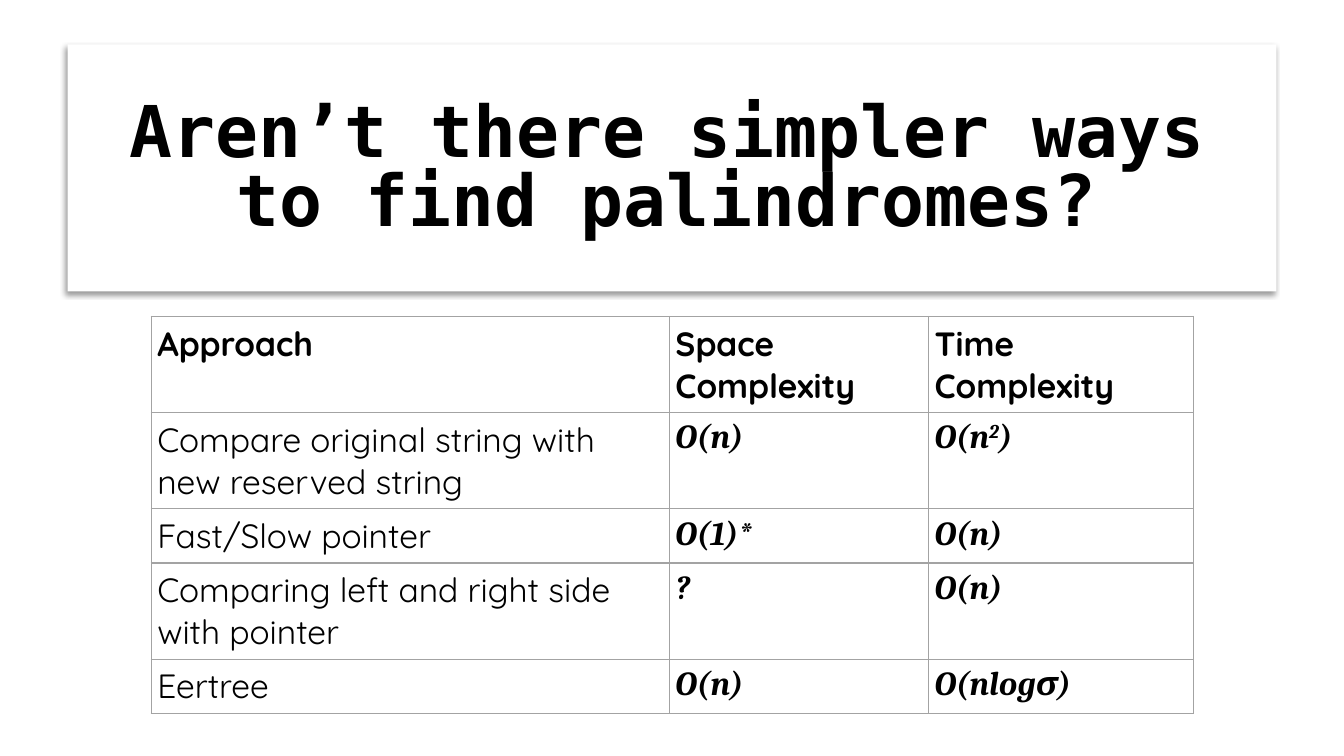
from dataclasses import dataclass

from lxml import etree
from pptx import Presentation
from pptx import util as u
from pptx.dml.color import RGBColor
from pptx.enum import text
from pptx.oxml import parse_xml
from pptx.oxml.ns import nsdecls, qn


@dataclass(frozen=True)
class Theme:
    ink: str = "000000"
    paper: str = "FFFFFF"
    border: str = "A3A3A3"
    title_font: str = "DejaVu Sans Mono"
    body_font: str = "Quicksand"
    formula_font: str = "Cambria"
    title_size: int = 51
    body_size: int = 24


THEME = Theme()
TITLE = "Aren’t there simpler ways to find palindromes?"
HEADINGS = ("Approach", "Space Complexity", "Time Complexity")
APPROACHES = (
    ("Compare original string with new reserved string", "O(n)", "O(n^2^)"),
    ("Fast/Slow pointer", "O(1)*", "O(n)"),
    ("Comparing left and right side with pointer", "?", "O(n)"),
    ("Eertree", "O(n)", "O(nlogσ)"),
)
COLUMN_WIDTHS = (5.14, 2.57, 2.63)
ROW_HEIGHTS = (0.95, 0.95, 0.53, 0.95, 0.53)
CELL_MARGIN = 0.06


def style_font(font, name, size, bold, italic=False):
    font.name = name
    font.size = u.Pt(size)
    font.bold = bold
    font.italic = italic
    font.color.rgb = RGBColor.from_string(THEME.ink)


def shape_as_pill(box):
    properties = box._element.spPr
    properties.append(parse_xml(
        f'<a:prstGeom {nsdecls("a")} prst="roundRect"><a:avLst>'
        '<a:gd name="adj" fmla="val 50000"/></a:avLst></a:prstGeom>'))
    box.fill.solid()
    box.fill.fore_color.rgb = RGBColor.from_string(THEME.paper)
    box.line.fill.background()
    properties.append(parse_xml(
        f'<a:effectLst {nsdecls("a")}><a:outerShdw blurRad="{u.Pt(4)}" '
        f'dist="{u.Pt(3)}" dir="{135 * 60000}" algn="tr" rotWithShape="0">'
        f'<a:srgbClr val="{THEME.ink}"><a:alpha val="40000"/></a:srgbClr>'
        '</a:outerShdw></a:effectLst>'))


def add_title(page):
    box = page.shapes.title
    box.left, box.top = u.Inches(0.67), u.Inches(0.44)
    box.width, box.height = u.Inches(11.99), u.Inches(2.45)
    shape_as_pill(box)
    frame = box.text_frame
    frame.text = TITLE
    frame.word_wrap = True
    frame.auto_size = text.MSO_AUTO_SIZE.NONE
    frame.vertical_anchor = text.MSO_ANCHOR.MIDDLE
    frame.margin_left, frame.margin_top = 0, u.Inches(0.12)
    frame.margin_right, frame.margin_bottom = u.Inches(0.1), u.Inches(0.05)
    para = frame.paragraphs[0]
    para.alignment = text.PP_ALIGN.CENTER
    para.line_spacing = 0.8
    style_font(para.font, THEME.title_font, THEME.title_size, True)


def add_borders(cell):
    properties = cell._tc.get_or_add_tcPr()
    for index, side in enumerate(("lnL", "lnR", "lnT", "lnB")):
        line = etree.Element(qn(f"a:{side}"), w=str(u.Pt(1)))
        fill = etree.SubElement(line, qn("a:solidFill"))
        etree.SubElement(fill, qn("a:srgbClr"), val=THEME.border)
        properties.insert(index, line)


def fill_cell(cell, content, font_name, bold, italic):
    cell.margin_left = cell.margin_right = u.Inches(CELL_MARGIN)
    cell.margin_top = cell.margin_bottom = u.Inches(CELL_MARGIN)
    cell.fill.background()
    add_borders(cell)
    para = cell.text_frame.paragraphs[0]
    style_font(para.font, font_name, THEME.body_size, bold, italic)
    for index, part in enumerate(content.split("^")):
        span = para.add_run()
        span.text = part
        if index % 2:
            span.font._element.set("baseline", "30000")


def add_complexity_table(page):
    rows = (HEADINGS,) + APPROACHES
    frame = page.shapes.add_table(
        len(rows), len(HEADINGS), u.Inches(1.5), u.Inches(3.14),
        u.Inches(sum(COLUMN_WIDTHS)), u.Inches(sum(ROW_HEIGHTS)))
    table = frame.table
    table.first_row = table.horz_banding = False
    for column, width in zip(table.columns, COLUMN_WIDTHS):
        column.width = u.Inches(width)
    for row, height in zip(table.rows, ROW_HEIGHTS):
        row.height = u.Inches(height)
    for row_index, row in enumerate(rows):
        for column_index, content in enumerate(row):
            heading = row_index == 0
            formula = not heading and column_index > 0
            font_name = THEME.formula_font if formula else THEME.body_font
            fill_cell(table.cell(row_index, column_index), content,
                      font_name, heading or formula, formula)


def main():
    deck = Presentation()
    deck.slide_width, deck.slide_height = u.Inches(13.33), u.Inches(7.5)
    page = deck.slides.add_slide(deck.slide_layouts[5])
    add_title(page)
    add_complexity_table(page)
    deck.save("out.pptx")


main()
